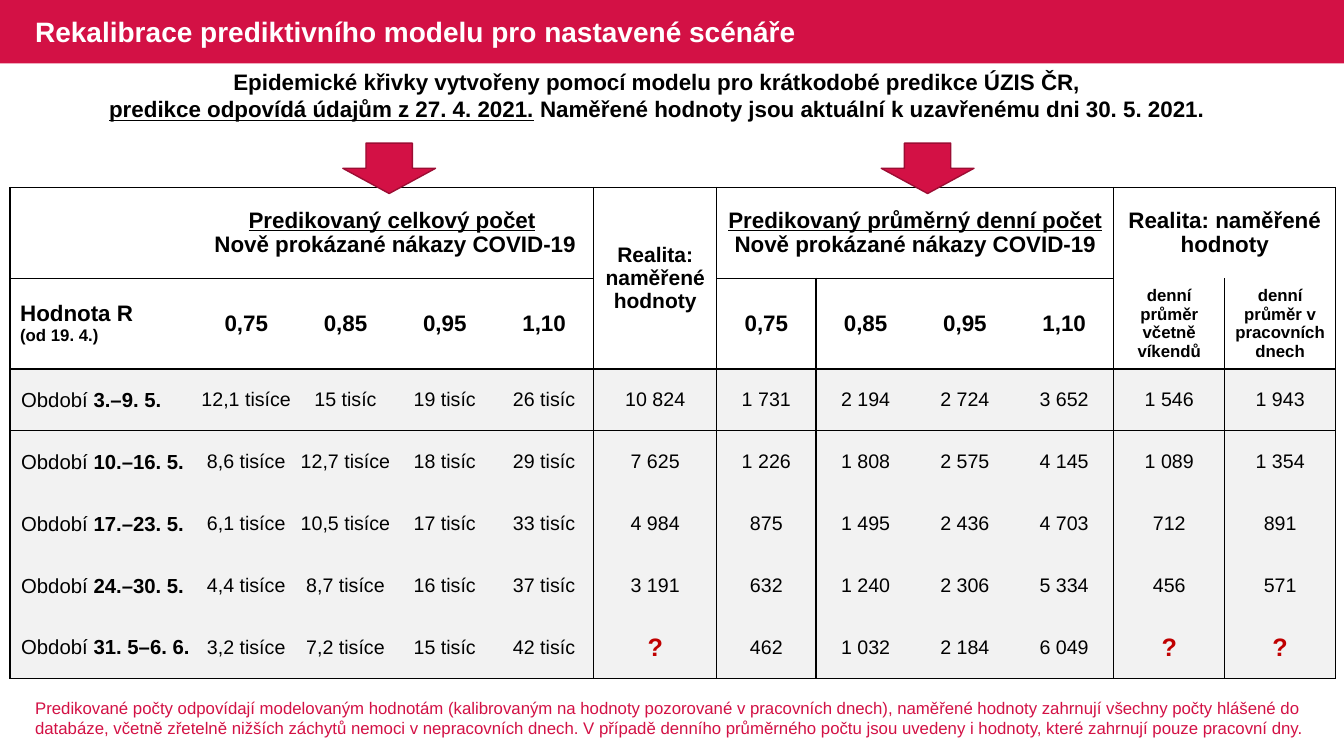
"""Build the slide on recalibrating the prediction model."""
from lxml.etree import SubElement
from pptx import Presentation
from pptx.dml.color import RGBColor
from pptx.enum.shapes import MSO_SHAPE
from pptx.enum.text import MSO_ANCHOR, PP_ALIGN
from pptx.oxml.ns import qn
from pptx.util import Inches, Pt

HUES = {"brand": "D31145", "edge": "9C0D33", "ink": "000000",
        "white": "FFFFFF", "band": "F2F2F2", "ask": "C00000"}

INTRO = [("Epidemické křivky vytvořeny pomocí modelu pro krátkodobé predikce ÚZIS ČR,\n", {}),
         ("predikce odpovídá údajům z 27. 4. 2021.", {"line": True}),
         (" Naměřené hodnoty jsou aktuální k uzavřenému dni 30. 5. 2021.", {})]
NOTE = ("Predikované počty odpovídají modelovaným hodnotám (kalibrovaným na hodnoty "
        "pozorované v pracovních dnech), naměřené hodnoty zahrnují všechny počty hlášené "
        "do databáze, včetně zřetelně nižších záchytů nemoci v nepracovních dnech. "
        "V případě denního průměrného počtu jsou uvedeny i hodnoty, které zahrnují pouze "
        "pracovní dny.")
RATES = ["0,75", "0,85", "0,95", "1,10"]
DAILY = ["denní průměr včetně víkendů", "denní průměr v pracovních dnech"]
WEEKS = [
    ["3.–9. 5.", "12,1 tisíce", "15 tisíc", "19 tisíc", "26 tisíc", "10 824",
     "1 731", "2 194", "2 724", "3 652", "1 546", "1 943"],
    ["10.–16. 5.", "8,6 tisíce", "12,7 tisíce", "18 tisíc", "29 tisíc", "7 625",
     "1 226", "1 808", "2 575", "4 145", "1 089", "1 354"],
    ["17.–23. 5.", "6,1 tisíce", "10,5 tisíce", "17 tisíc", "33 tisíc", "4 984",
     "875", "1 495", "2 436", "4 703", "712", "891"],
    ["24.–30. 5.", "4,4 tisíce", "8,7 tisíce", "16 tisíc", "37 tisíc", "3 191",
     "632", "1 240", "2 306", "5 334", "456", "571"],
    ["31. 5–6. 6.", "3,2 tisíce", "7,2 tisíce", "15 tisíc", "42 tisíc", "?",
     "462", "1 032", "2 184", "6 049", "?", "?"],
]
SPANS = {(0, 1): (1, 4), (0, 5): (2, 1), (0, 6): (1, 4), (0, 10): (1, 2)}
HEADS = {
    (0, 1): [("Predikovaný celkový počet", {"line": True}),
             (" \nNově prokázané nákazy COVID-19", {})],
    (0, 6): [("Predikovaný průměrný denní počet", {"line": True}),
             (" Nově prokázané nákazy COVID-19", {})],
}


def tint(name):
    """Return a named colour."""
    return RGBColor.from_string(HUES[name])


def style(run, size, hue="ink", bold=False, line=False):
    """Format one run."""
    font = run.font
    font.name, font.size, font.bold, font.underline = "Arial", Pt(size), bold, line
    font.color.rgb = tint(hue)


def fill_para(para, parts, align=PP_ALIGN.CENTER, **base):
    """Write styled parts into a paragraph, breaking at newlines."""
    para.alignment = align
    for text, extra in parts:
        look = {**base, **extra}
        for i, piece in enumerate(text.split("\n")):
            if i:
                para.add_line_break()
                mark = SubElement(para._p.findall(qn("a:br"))[-1], qn("a:rPr"))
                mark.set("sz", str(int(look["size"] * 100)))
            if piece:
                run = para.add_run()
                run.text = piece
                style(run, **look)


def add_text(slide, area, parts, align=PP_ALIGN.LEFT, anchor=MSO_ANCHOR.TOP, **base):
    """Add a wrapped text box."""
    frame = slide.shapes.add_textbox(*map(Inches, area)).text_frame
    frame.word_wrap = True
    frame.vertical_anchor = anchor
    fill_para(frame.paragraphs[0], parts, align, **base)


def add_block(slide, kind, area, edge=None):
    """Add a brand-coloured shape."""
    shape = slide.shapes.add_shape(kind, *map(Inches, area))
    shape.shadow.inherit = False
    shape.fill.solid()
    shape.fill.fore_color.rgb = tint("brand")
    if edge:
        shape.line.color.rgb = tint(edge)
        shape.line.width = Pt(1)
    else:
        shape.line.fill.background()


def upright(row, edge):
    """Tell whether a vertical rule runs at this column edge."""
    return edge in (0, 5, 6, 10, 12) or (row > 0 and edge in (7, 11))


def level(edge, col):
    """Tell whether a horizontal rule runs at this row edge."""
    return edge in (0, 2, 3, 7) or (edge == 1 and col not in (5, 10, 11))


def set_rules(cell, row, col):
    """Draw the borders of one cell."""
    high, wide = SPANS.get((row, col), (1, 1))
    sides = {"L": upright(row, col), "R": upright(row, col + wide),
             "T": level(row, col), "B": level(row + high, col)}
    props = cell._tc.get_or_add_tcPr()
    for side, shown in sides.items():
        rule = SubElement(props, qn(f"a:ln{side}"), w=str(Pt(1)))
        if shown:
            paint = SubElement(rule, qn("a:solidFill"))
            SubElement(paint, qn("a:srgbClr"), val=HUES["ink"])
        else:
            SubElement(rule, qn("a:noFill"))


def set_pad(cell, pad, left=None):
    """Set the inner margins of a cell."""
    cell.margin_left = Inches(pad if left is None else left)
    cell.margin_right = cell.margin_top = Inches(pad)
    cell.margin_bottom = 0


def fill_heads(grid):
    """Write the two header rows."""
    for spot, parts in HEADS.items():
        fill_para(grid.cell(*spot).text_frame.paragraphs[0], parts, size=16, bold=True)
    for col, size in ((5, 15), (10, 16)):
        frame = grid.cell(0, col).text_frame
        frame.text = "Realita: naměřené\nhodnoty"
        for para in frame.paragraphs:
            para.alignment = PP_ALIGN.CENTER
            style(para.runs[0], size, bold=True)
    fill_para(grid.cell(1, 0).text_frame.paragraphs[0],
              [("Hodnota R\n", {}), ("(od 19. 4.)", {"size": 12})],
              PP_ALIGN.LEFT, size=16, bold=True)
    for start in (1, 6):
        for col, rate in enumerate(RATES, start):
            cell = grid.cell(1, col)
            set_pad(cell, 0.01)
            fill_para(cell.text_frame.paragraphs[0], [(rate, {})], size=16, bold=True)
    for col, label in enumerate(DAILY, 10):
        fill_para(grid.cell(1, col).text_frame.paragraphs[0], [(label, {})],
                  size=12, bold=True)


def fill_weeks(grid):
    """Write one row for each week."""
    for row, (week, *counts) in enumerate(WEEKS, 2):
        label = grid.cell(row, 0)
        set_pad(label, 0.01, 0.11)
        fill_para(label.text_frame.paragraphs[0],
                  [("Období ", {}), (week, {"bold": True})], PP_ALIGN.LEFT, size=14.5)
        for col, count in enumerate(counts, 1):
            cell = grid.cell(row, col)
            set_pad(cell, 0)
            look = {"size": 18, "hue": "ask", "bold": True} if count == "?" else {"size": 14}
            fill_para(cell.text_frame.paragraphs[0], [(count, {})], **look)


def add_grid(slide):
    """Add the table of predicted and measured counts."""
    area = map(Inches, (0.1, 1.86, 13.15, 4.82))
    grid = slide.shapes.add_table(7, 12, *area).table
    grid.first_row = grid.horz_banding = False
    rates = [Inches(3.94) // 4] * 4
    widths = [Inches(1.85), *rates, Inches(1.22), *rates, Inches(1.1), Inches(1.1)]
    heights = [Inches(0.9), Inches(0.85)] + [Inches(3.07) // 5] * 5
    for col, width in zip(grid.columns, widths):
        col.width = width
    for row, height in zip(grid.rows, heights):
        row.height = height
    for (row, col), (high, wide) in SPANS.items():
        grid.cell(row, col).merge(grid.cell(row + high - 1, col + wide - 1))
    for row in range(7):
        for col in range(12):
            cell = grid.cell(row, col)
            cell.vertical_anchor = MSO_ANCHOR.MIDDLE
            set_rules(cell, row, col)
            if row > 1:
                cell.fill.solid()
                cell.fill.fore_color.rgb = tint("band")
            else:
                cell.fill.background()
    fill_heads(grid)
    fill_weeks(grid)


def main():
    """Build and save the slide."""
    deck = Presentation()
    deck.slide_width, deck.slide_height = Inches(13.33), Inches(7.5)
    slide = deck.slides.add_slide(deck.slide_layouts[6])
    add_block(slide, MSO_SHAPE.RECTANGLE, (0, 0, 13.33, 0.63))
    add_text(slide, (-0.22, 0.63, 13.47, 0.64), INTRO, PP_ALIGN.CENTER, size=16, bold=True)
    add_text(slide, (0.25, 0, 8.16, 0.63),
             [("Rekalibrace prediktivního modelu pro nastavené scénáře", {})],
             anchor=MSO_ANCHOR.MIDDLE, size=20, hue="white", bold=True)
    add_grid(slide)
    add_text(slide, (0.25, 6.87, 12.83, 0.5), [(NOTE, {})], size=12, hue="brand")
    for left in (3.4, 8.74):
        add_block(slide, MSO_SHAPE.DOWN_ARROW, (left, 1.42, 0.92, 0.5), "edge")
    deck.save("out.pptx")


if __name__ == "__main__":
    main()
